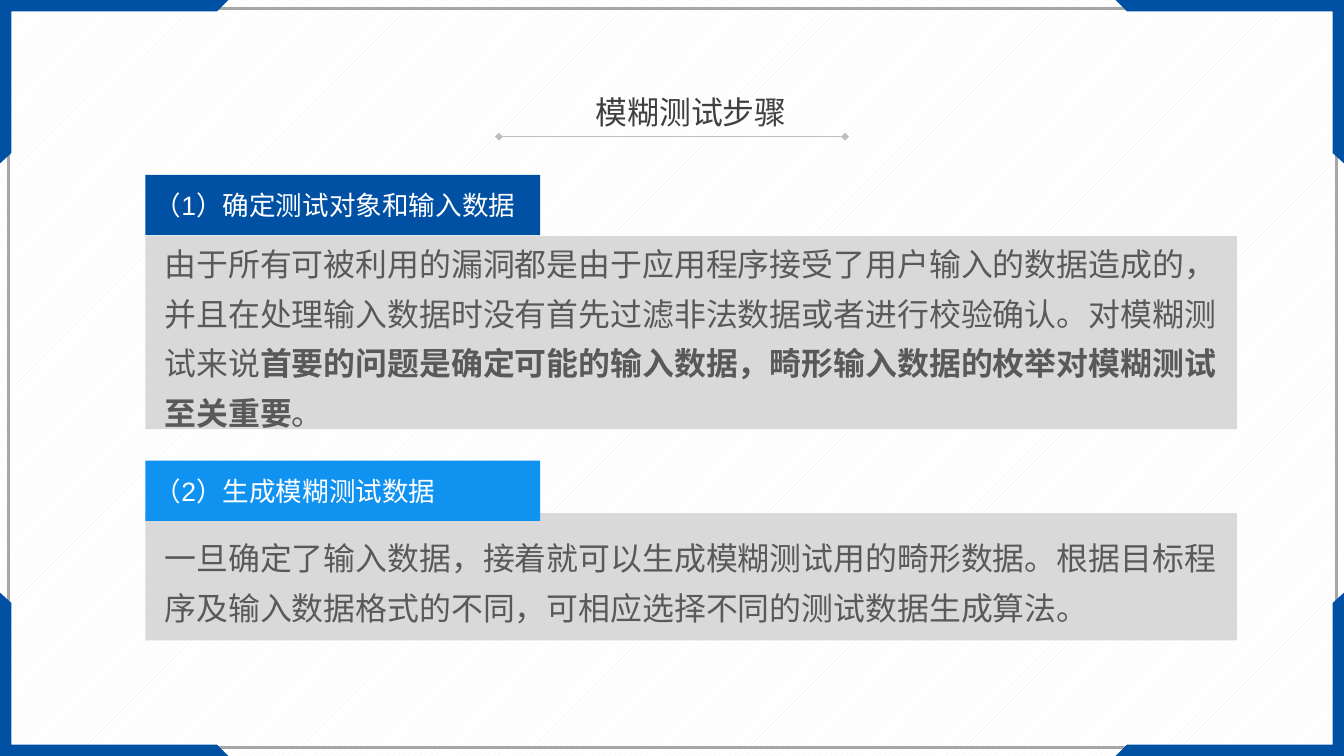
"""Builds the slide on the first two steps of fuzz testing."""
from lxml import etree
from pptx import Presentation
from pptx.dml.color import RGBColor
from pptx.enum import dml, shapes, text
from pptx.oxml import ns
from pptx.util import Inches, Pt

WIDTH, HEIGHT = 14.06, 7.91
NAVY = RGBColor(0x00, 0x50, 0xA3)
BLUE = RGBColor(0x10, 0x92, 0xF1)
WHITE = RGBColor(0xFF, 0xFF, 0xFF)
PALE = RGBColor(0xF2, 0xF2, 0xF2)
PANEL = RGBColor(0xD9, 0xD9, 0xD9)
RULE = RGBColor(0xBF, 0xBF, 0xBF)
FRAME = RGBColor(0xA6, 0xA6, 0xA6)
TITLE = RGBColor(0x40, 0x40, 0x40)
BODY = RGBColor(0x59, 0x59, 0x59)
CJK_FONT = "Noto Sans CJK SC"


def style_paragraph(paragraph, size, color, alignment, latin=CJK_FONT):
    paragraph.alignment = alignment
    font = paragraph.font
    font.size = Pt(size)
    font.name = latin
    font.color.rgb = color
    properties = paragraph._p.pPr.find(ns.qn("a:defRPr"))
    etree.SubElement(properties, ns.qn("a:ea"), typeface=CJK_FONT)


def add_box(slide, left, top, width, height, fill):
    box = slide.shapes.add_shape(
        shapes.MSO_SHAPE.RECTANGLE, Inches(left), Inches(top), Inches(width), Inches(height))
    box.shadow.inherit = False
    box.line.fill.background()
    if fill is None:
        box.fill.background()
    else:
        box.fill.solid()
        box.fill.fore_color.rgb = fill
    return box


presentation = Presentation()
presentation.slide_width = Inches(WIDTH)
presentation.slide_height = Inches(HEIGHT)
slide = presentation.slides.add_slide(presentation.slide_layouts[5])

background = slide.background.fill
background.patterned()
background.pattern = dml.MSO_PATTERN.WIDE_UPWARD_DIAGONAL
background.fore_color.rgb = PALE
background.back_color.rgb = WHITE

frame = add_box(slide, 0.09, 0.09, 13.89, 7.73, None)
frame.line.color.rgb = FRAME
frame.line.width = Pt(2)

CORNER = [(0, 0), (2.39, 0), (2.27, 0.12), (0.12, 0.12), (0.12, 1.6), (0, 1.71)]
for right in (False, True):
    for bottom in (False, True):
        points = [(Inches(WIDTH - x if right else x), Inches(HEIGHT - y if bottom else y))
                  for x, y in CORNER]
        builder = slide.shapes.build_freeform(*points[0])
        builder.add_line_segments(points[1:], close=True)
        corner = builder.convert_to_shape()
        corner.shadow.inherit = False
        corner.fill.solid()
        corner.fill.fore_color.rgb = NAVY
        corner.line.fill.background()

title = slide.shapes.title
title.left, title.top = Inches(2.78), Inches(0.92)
title.width, title.height = Inches(8.9), Inches(0.5)
title.text_frame.text = "模糊测试步骤"
title.text_frame.auto_size = text.MSO_AUTO_SIZE.NONE
style_paragraph(title.text_frame.paragraphs[0], 24, TITLE, text.PP_ALIGN.CENTER)

rule = slide.shapes.add_connector(
    shapes.MSO_CONNECTOR.STRAIGHT, Inches(5.22), Inches(1.43), Inches(8.84), Inches(1.43))
rule.line.color.rgb = RULE
rule.line.width = Pt(0.5)
for end in ("a:headEnd", "a:tailEnd"):
    etree.SubElement(rule.line._get_or_add_ln(), ns.qn(end), type="diamond")
etree.SubElement(rule._element.spPr, ns.qn("a:effectLst"))

STEPS = [
    ("（1）确定测试对象和输入数据", 1.83, NAVY, 2.47, 2.02, [
        ("由于所有可被利用的漏洞都是由于应用程序接受了用户输入的数据造成的，"
         "并且在处理输入数据时没有首先过滤非法数据或者进行校验确认。对模糊测试来说", False),
        ("首要的问题是确定可能的输入数据，畸形输入数据的枚举对模糊测试至关重要", True),
        ("。", False)]),
    ("（2）生成模糊测试数据", 4.82, BLUE, 5.37, 1.33, [
        ("一旦确定了输入数据，接着就可以生成模糊测试用的畸形数据。"
         "根据目标程序及输入数据格式的不同，可相应选择不同的测试数据生成算法。", False)]),
]
for heading, heading_top, color, panel_top, panel_height, passages in STEPS:
    panel = add_box(slide, 1.52, panel_top, 11.42, panel_height, PANEL)
    panel.text_frame.margin_left = panel.text_frame.margin_right = Inches(0.2)
    paragraph = panel.text_frame.paragraphs[0]
    paragraph.line_spacing = 1.3
    style_paragraph(paragraph, 24, BODY, text.PP_ALIGN.LEFT)
    for passage, bold in passages:
        run = paragraph.add_run()
        run.text = passage
        run.font.bold = bold

    label = add_box(slide, 1.52, heading_top, 4.13, 0.63, color)
    label.text_frame.text = heading
    style_paragraph(label.text_frame.paragraphs[0], 20, WHITE, text.PP_ALIGN.LEFT, "Arial")

presentation.save("out.pptx")
